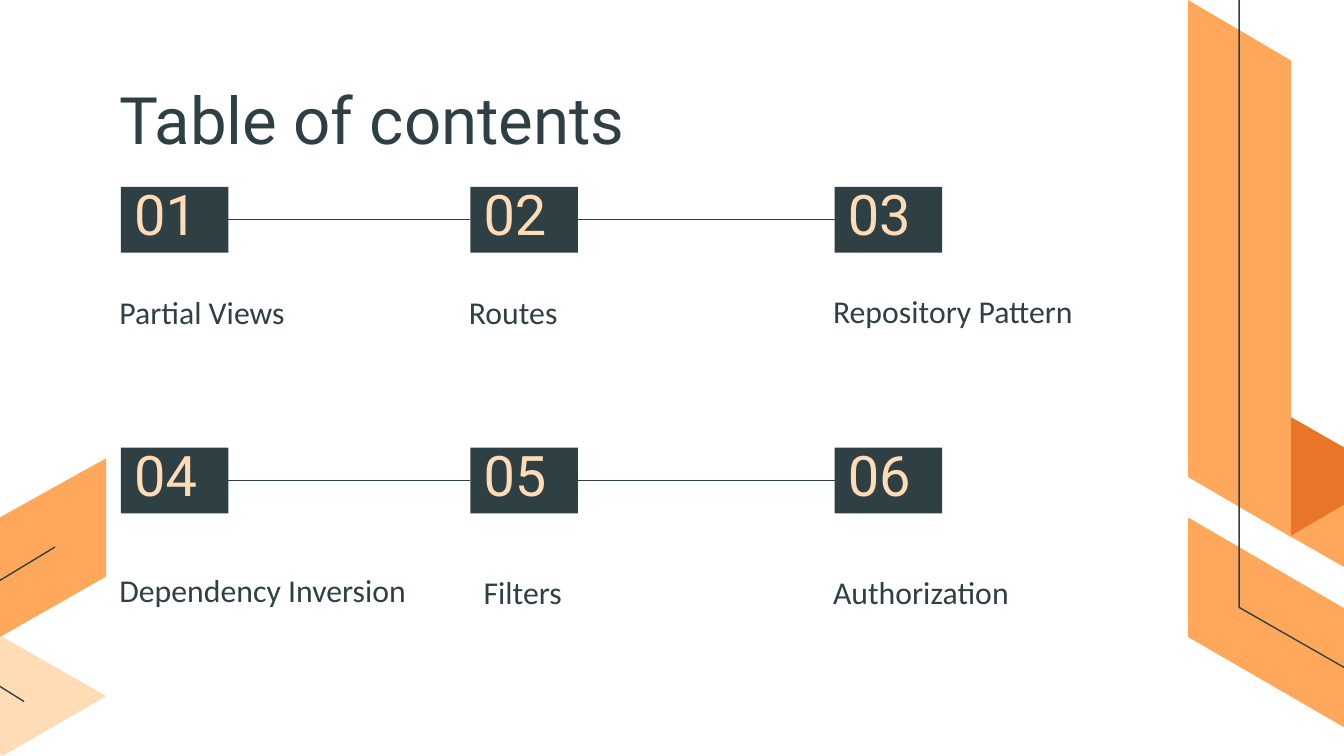
from dataclasses import dataclass
from typing import NamedTuple

from lxml.etree import SubElement
from pptx import Presentation
from pptx.dml.color import RGBColor
from pptx.enum.shapes import MSO_CONNECTOR, MSO_SHAPE
from pptx.enum.text import MSO_ANCHOR, PP_ALIGN
from pptx.oxml.ns import qn
from pptx.shapes.base import BaseShape
from pptx.slide import Slide
from pptx.util import Emu, Inches, Pt


@dataclass(frozen=True)
class Theme:
    dark: str = "2F4044"
    orange: str = "FFA85C"
    deep_orange: str = "E97529"
    peach: str = "FFDCB6"
    heading_font: str = "Roboto"
    body_font: str = "Calibri"
    title_size: float = 35
    number_size: float = 30
    topic_size: float = 17
    line_width: float = 0.75


class Box(NamedTuple):
    left: float
    top: float
    width: float
    height: float


class TextStyle(NamedTuple):
    font: str
    size: float
    color: str
    top_inset: float = 0
    anchor: MSO_ANCHOR = MSO_ANCHOR.TOP


class Topic(NamedTuple):
    name: str
    left: float
    top: float
    width: float = 22.6


class Ribbon(NamedTuple):
    points: tuple[tuple[float, float], ...]
    fill: str | None = None


THEME = Theme()
SLIDE_WIDTH, SLIDE_HEIGHT = Inches(10), Inches(5.625)
GRID_COLUMNS = 100
CELL = SLIDE_WIDTH / GRID_COLUMNS
INSET = 1

COLUMN_LEFTS = (9, 35, 62.1)
ROW_TOPS = (13.9, 33.3)
NUMBER_WIDTH, NUMBER_HEIGHT = 8, 4.9
TOPIC_HEIGHT = 4.2

TITLE_STYLE = TextStyle(THEME.heading_font, THEME.title_size, THEME.dark)
NUMBER_STYLE = TextStyle(THEME.heading_font, THEME.number_size, THEME.peach, anchor=MSO_ANCHOR.MIDDLE)
TOPIC_STYLE = TextStyle(THEME.body_font, THEME.topic_size, THEME.dark, INSET)

TOPICS = (
    Topic("Partial Views", 7.9, 20.8),
    Topic("Routes", 33.9, 20.8),
    Topic("Repository Pattern", 61, 20.7),
    Topic("Dependency Inversion", 7.9, 41.5, 24.4),
    Topic("Filters", 35, 41.6),
    Topic("Authorization", 61, 41.6),
)

LEFT_RIBBONS = (
    Ribbon(((0, 38.5), (7.9, 34.1), (7.9, 42.9), (0, 47.4)), THEME.orange),
    Ribbon(((0.2, 56.25), (-7.5, 51.8), (0.2, 47.4), (7.9, 51.8)), THEME.peach),
    Ribbon(((1.8, 52.2), (-3, 49.2), (-3, 45), (4.1, 40.7))),
)
RIGHT_RIBBONS = (
    Ribbon(((103.7, 44.3), (111.4, 39.9), (103.7, 35.4), (96, 39.9)), THEME.orange),
    Ribbon(((103.7, 35.4), (96, 39.9), (96, 31)), THEME.deep_orange),
    Ribbon(((88.4, 0), (88.4, 35.5), (96.05, 39.95), (96.05, 4.5)), THEME.orange),
    Ribbon(((88.4, 47.4), (88.4, 38.5), (103.7, 47.4), (103.7, 56.25)), THEME.orange),
    Ribbon(((92.2, 0), (92.2, 45.2), (108.3, 54.4))),
)


def cells(count: float) -> Emu:
    return Emu(round(count * CELL))


def color(value: str) -> RGBColor:
    return RGBColor.from_string(value)


def draw_ribbon(slide: Slide, ribbon: Ribbon) -> None:
    points = [(cells(column), cells(row)) for column, row in ribbon.points]
    builder = slide.shapes.build_freeform(*points[0])
    builder.add_line_segments(points[1:], close=ribbon.fill is not None)
    shape = builder.convert_to_shape()
    shape.shadow.inherit = False
    if ribbon.fill:
        shape.fill.solid()
        shape.fill.fore_color.rgb = color(ribbon.fill)
        shape.line.fill.background()
    else:
        shape.fill.background()
        shape.line.color.rgb = color(THEME.dark)
        shape.line.width = Pt(THEME.line_width)


def write(shape: BaseShape, text: str, style: TextStyle) -> None:
    frame = shape.text_frame
    frame.word_wrap = True
    frame.vertical_anchor = style.anchor
    frame.margin_left = frame.margin_right = frame.margin_bottom = cells(INSET)
    frame.margin_top = cells(style.top_inset)
    paragraph = frame.paragraphs[0]
    paragraph.alignment = PP_ALIGN.LEFT
    run = paragraph.add_run()
    run.text = text
    run.font.name = style.font
    run.font.size = Pt(style.size)
    run.font.color.rgb = color(style.color)


def draw_text(slide: Slide, box: Box, text: str, style: TextStyle) -> None:
    write(slide.shapes.add_textbox(*map(cells, box)), text, style)


def draw_number(slide: Slide, left: float, top: float, number: int) -> None:
    box = Box(left, top, NUMBER_WIDTH, NUMBER_HEIGHT)
    shape = slide.shapes.add_shape(MSO_SHAPE.RECTANGLE, *map(cells, box))
    shape.shadow.inherit = False
    shape.fill.solid()
    shape.fill.fore_color.rgb = color(THEME.dark)
    shape.line.fill.background()
    write(shape, f"{number:02}", NUMBER_STYLE)


def draw_link(slide: Slide, start: float, end: float, row: float) -> None:
    connector = slide.shapes.add_connector(
        MSO_CONNECTOR.STRAIGHT, cells(start), cells(row), cells(end), cells(row)
    )
    connector.line.color.rgb = color(THEME.dark)
    connector.line.width = Pt(THEME.line_width)
    SubElement(connector.element.spPr, qn("a:effectLst"))


def main() -> None:
    presentation = Presentation()
    presentation.slide_width, presentation.slide_height = SLIDE_WIDTH, SLIDE_HEIGHT
    slide = presentation.slides.add_slide(presentation.slide_layouts[6])
    slide.background.fill.solid()
    slide.background.fill.fore_color.rgb = color("FFFFFF")

    for ribbon in LEFT_RIBBONS:
        draw_ribbon(slide, ribbon)
    draw_text(slide, Box(7.9, 5.9, 77.5, 5.7), "Table of contents", TITLE_STYLE)
    for row, top in enumerate(ROW_TOPS):
        for column, left in enumerate(COLUMN_LEFTS):
            draw_number(slide, left, top, row * len(COLUMN_LEFTS) + column + 1)
    for topic in TOPICS:
        box = Box(topic.left, topic.top, topic.width, TOPIC_HEIGHT)
        draw_text(slide, box, topic.name, TOPIC_STYLE)
    for top in ROW_TOPS:
        for left, next_left in zip(COLUMN_LEFTS, COLUMN_LEFTS[1:]):
            draw_link(slide, left + NUMBER_WIDTH, next_left, top + NUMBER_HEIGHT / 2)
    for ribbon in RIGHT_RIBBONS:
        draw_ribbon(slide, ribbon)

    presentation.save("out.pptx")


if __name__ == "__main__":
    main()
